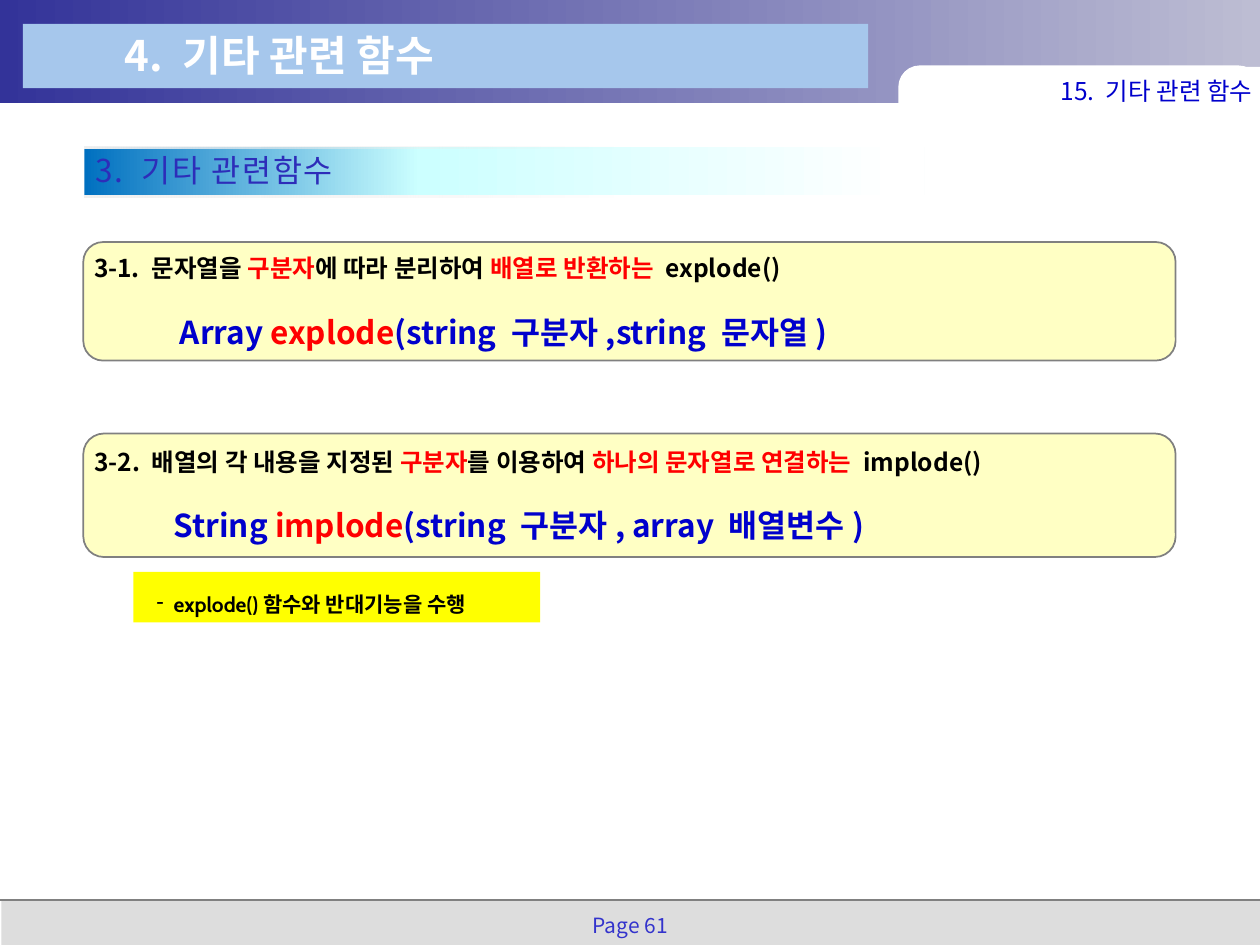
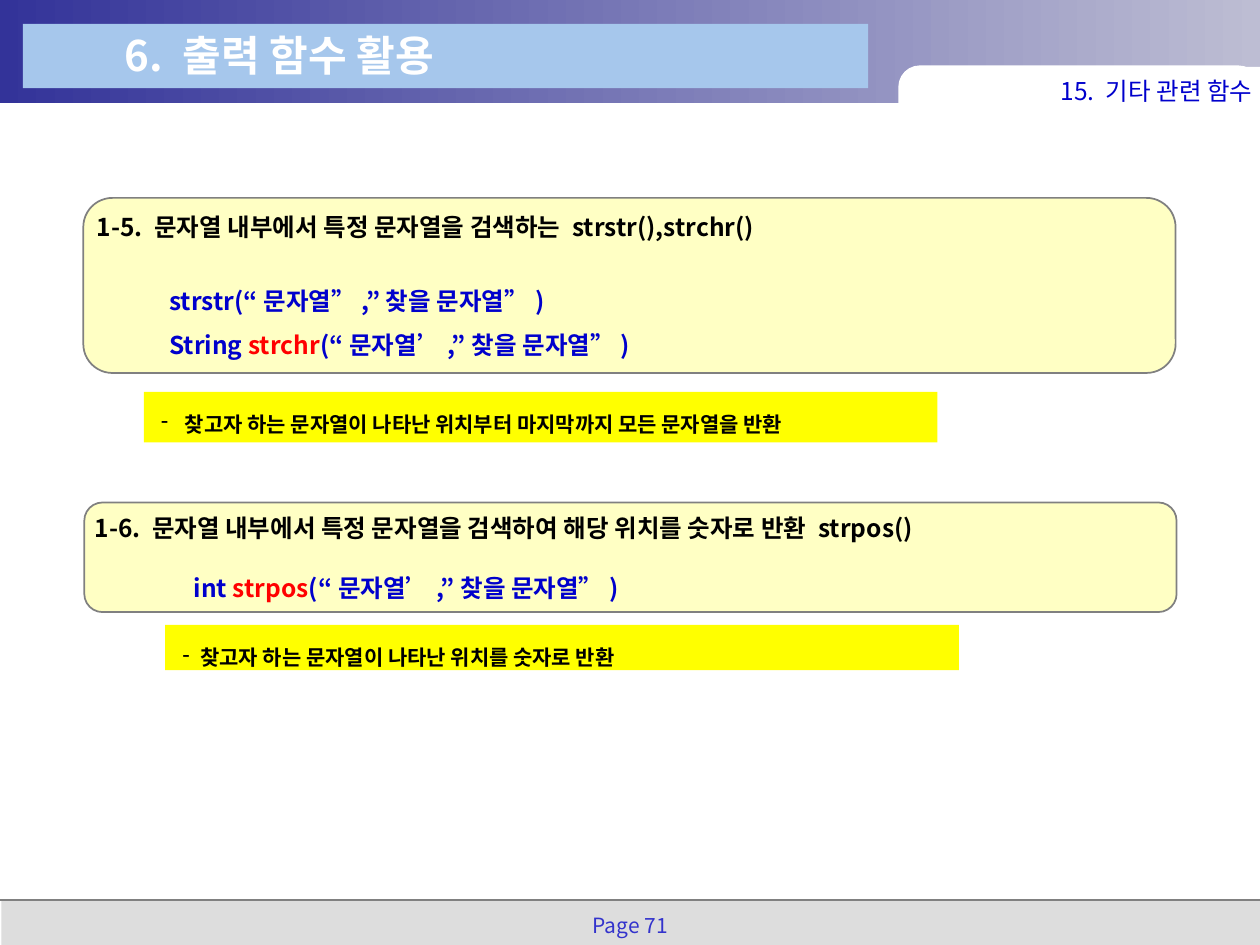
from dataclasses import dataclass

from lxml.etree import SubElement
from pptx import Presentation
from pptx.dml.color import RGBColor
from pptx.enum.shapes import MSO_CONNECTOR, MSO_SHAPE
from pptx.enum.text import MSO_ANCHOR, PP_ALIGN
from pptx.oxml import parse_xml
from pptx.oxml.ns import nsdecls, qn
from pptx.util import Cm, Pt


@dataclass(frozen=True)
class Theme:
    font: str = "Noto Sans CJK KR"
    note_font: str = "Cabin"
    white: str = "FFFFFF"
    black: str = "000000"
    red: str = "FF0000"
    blue: str = "0000CC"
    yellow: str = "FFFF00"
    gray: str = "808080"
    footer: str = "DDDDDD"
    plate: str = "A6C7EC"
    page_number: str = "3333CC"
    section: str = "2D2DB9"
    section_shadow: str = "000066"
    header_stops: tuple = ((0, "333399", 100), (100, "BDBDD3", 100))
    section_stops: tuple = ((0, "0070C0", 100), (40, "CCFFFF", 100), (97, "FFFFFF", 100))
    rule_stops: tuple = ((0, "F0F0F0", 100), (100, "EAEAEA", 0))
    title_size: int = 24
    section_size: int = 18
    heading_size: int = 14
    note_size: int = 12
    card_opacity: int = 23


THEME = Theme()
WIDTH, HEIGHT = 25.4, 19.05
CHAPTER = "15. 기타 관련 함수"


class PageBuilder:
    def __init__(self, deck, theme):
        self.deck = deck
        self.theme = theme
        self.page = None

    def start_page(self, title, number):
        theme = self.theme
        self.page = self.deck.slides.add_slide(self.deck.slide_layouts[5])
        self.box((0.03, 18.14, 25.37, 0.91), theme.footer)
        self.gradient_box((0, 0, WIDTH, 2.08), theme.header_stops)
        self.footer_line(18.14)
        tab = self.box((18.11, 1.32, 7.29, 1.5), theme.white, MSO_SHAPE.ROUNDED_RECTANGLE)
        tab.adjustments[0] = 0.29
        self.box((23.11, 1.35, 2.29, 0.61), theme.white)
        self.box((0.46, 0.48, 17.04, 1.3), theme.plate)
        self.title(title)
        self.label((11.56, 18.29, 2.29, 0.71), f"Page {number}", theme.note_size,
                   theme.page_number, PP_ALIGN.CENTER)
        self.label((18.49, 1.42, 6.86, 0.81), CHAPTER, theme.heading_size,
                   theme.blue, PP_ALIGN.RIGHT, 0.1)

    def finish_page(self):
        for latin in list(self.page.shapes.element.iter(qn("a:latin"))):
            typeface = latin.get("typeface")
            latin.addnext(parse_xml(f'<a:ea {nsdecls("a")} typeface="{typeface}"/>'))

    def box(self, area, color, kind=MSO_SHAPE.RECTANGLE):
        shape = self.page.shapes.add_shape(kind, *map(Cm, area))
        shape.shadow.inherit = False
        shape.fill.solid()
        shape.fill.fore_color.rgb = RGBColor.from_string(color)
        shape.line.fill.background()
        return shape

    def gradient_box(self, area, stops):
        shape = self.box(area, self.theme.white)
        shape.fill.gradient()
        shape.fill.gradient_angle = 0
        stop_list = shape.element.find(".//" + qn("a:gsLst"))
        stop_list.clear()
        for position, color, opacity in stops:
            stop = SubElement(stop_list, qn("a:gs"), pos=str(position * 1000))
            tint = SubElement(stop, qn("a:srgbClr"), val=color)
            if opacity < 100:
                SubElement(tint, qn("a:alpha"), val=str(opacity * 1000))

    def footer_line(self, top):
        line = self.page.shapes.add_connector(
            MSO_CONNECTOR.STRAIGHT, 0, Cm(top), Cm(WIDTH), Cm(top))
        line.line.color.rgb = RGBColor.from_string(self.theme.gray)
        line.line.width = Pt(1)
        SubElement(line.element.spPr, qn("a:effectLst"))

    def frame(self, shape, anchor=MSO_ANCHOR.MIDDLE, inset=None):
        frame = shape.text_frame
        frame.word_wrap = True
        frame.vertical_anchor = anchor
        if inset is not None:
            frame.margin_left = frame.margin_right = Cm(inset)
            frame.margin_top = frame.margin_bottom = Cm(inset)
        return frame

    def add_spans(self, para, spans, size, bold=False, font=None, align=PP_ALIGN.LEFT):
        para.alignment = align
        para.font.name = font or self.theme.font
        para.font.size = Pt(size)
        para.font.bold = bold
        for text, color in spans:
            span = para.add_run()
            span.text = text
            span.font.color.rgb = RGBColor.from_string(color)

    def indent(self, para, margin, first=0):
        properties = para._p.get_or_add_pPr()
        properties.set("marL", str(Cm(margin)))
        properties.set("indent", str(Cm(first)))
        return properties

    def title(self, text):
        title = self.page.shapes.title
        title.left, title.top, title.width, title.height = map(Cm, (2.26, 0.46, 12.62, 1.27))
        self.page.shapes.element.append(title.element)
        para = self.frame(title).paragraphs[0]
        self.add_spans(para, [(text, self.theme.white)], self.theme.title_size, bold=True)

    def label(self, area, text, size, color, align=PP_ALIGN.LEFT, inset=None):
        label = self.page.shapes.add_textbox(*map(Cm, area))
        para = self.frame(label, inset=inset).paragraphs[0]
        self.add_spans(para, [(text, color)], size, align=align)
        return label

    def section(self, text):
        theme = self.theme
        self.gradient_box((1.7, 2.97, 16.94, 0.97), theme.section_stops)
        for top in (2.95, 3.94):
            self.gradient_box((1.7, top, 10.69, 0.05), theme.rule_stops)
        label = self.label((1.68, 2.92, 17.02, 1.02), text, theme.section_size, theme.section)
        properties = label.element.find(".//" + qn("a:rPr"))
        properties.set("spc", "100")
        effects = SubElement(properties, qn("a:effectLst"))
        shadow = SubElement(effects, qn("a:outerShdw"), dist="17961", dir="2700000")
        SubElement(shadow, qn("a:srgbClr"), val=theme.section_shadow)

    def card(self, area, heading, signatures, margin, size, leading, gap=17):
        theme = self.theme
        card = self.box(area, theme.yellow, MSO_SHAPE.ROUNDED_RECTANGLE)
        tint = card.element.spPr.find(qn("a:solidFill")).find(qn("a:srgbClr"))
        SubElement(tint, qn("a:alpha"), val=str(theme.card_opacity * 1000))
        card.line.color.rgb = RGBColor.from_string(theme.gray)
        card.line.width = Pt(1)
        frame = self.frame(card, inset=0.1)
        para = frame.paragraphs[0]
        para.line_spacing = Pt(17)
        self.add_spans(para, heading, theme.heading_size, bold=True)
        for index, signature in enumerate(signatures):
            para = frame.add_paragraph()
            para.line_spacing = Pt(leading)
            para.space_before = Pt(0 if index else gap)
            self.indent(para, margin)
            self.add_spans(para, signature, size, bold=True)

    def note(self, area, text, margin, hanging):
        theme = self.theme
        note = self.box(area, theme.yellow)
        para = self.frame(note, MSO_ANCHOR.TOP).paragraphs[0]
        para.line_spacing = Pt(22)
        self.add_spans(para, [(text, theme.black)], theme.note_size, bold=True,
                       font=theme.note_font)
        properties = self.indent(para, margin + hanging, -hanging)
        bullet = parse_xml(f'<a:buChar {nsdecls("a")} char="-"/>')
        properties.find(qn("a:defRPr")).addprevious(bullet)


def build_array_page(builder):
    theme = builder.theme
    black, red, blue = theme.black, theme.red, theme.blue
    builder.start_page("4. 기타 관련 함수", 61)
    builder.section("3. 기타 관련함수")
    builder.card(
        (1.68, 4.88, 22.02, 2.39),
        [("3-1. 문자열을 ", black), ("구분자", red), ("에 따라 분리하여 ", black),
         ("배열로 반환하는 ", red), ("explode()", black)],
        [[("Array ", blue), ("explode", red), ("(string 구분자,string 문자열)", blue)]],
        1.73, theme.section_size, 22)
    builder.card(
        (1.68, 8.74, 22.02, 2.49),
        [("3-2. 배열의 각 내용을 지정된 ", black), ("구분자", red), ("를 이용하여 ", black),
         ("하나의 문자열로 연결하는 ", red), ("implode()", black)],
        [[("String ", blue), ("implode", red), ("(string 구분자, array 배열변수)", blue)]],
        1.6, theme.section_size, 22)
    builder.note((2.69, 11.53, 8.2, 1.02), "explode()함수와 반대기능을 수행", 0.22, 0.34)
    builder.finish_page()


def build_search_page(builder):
    theme = builder.theme
    black, red, blue = theme.black, theme.red, theme.blue
    builder.start_page("6. 출력 함수 활용", 71)
    builder.card(
        (1.68, 3.99, 22.02, 3.53),
        [("1-5. 문자열 내부에서 특정 문자열을 검색하는 strstr(),strchr()", black)],
        [[("strstr(“문자열”,”찾을 문자열”)", blue)],
         [("String ", blue), ("strchr", red), ("(“문자열’,”찾을 문자열”)", blue)]],
        1.46, theme.heading_size, 25)
    builder.card(
        (1.7, 10.13, 22.02, 2.21),
        [("1-6. 문자열 내부에서 특정 문자열을 검색하여 해당 위치를 숫자로 반환 strpos()", black)],
        [[("int ", blue), ("strpos", red), ("(“문자열’,”찾을 문자열”)", blue)]],
        2, theme.heading_size, 17)
    builder.note((2.9, 7.9, 16, 1.02),
                 "찾고자 하는 문자열이 나타난 위치부터 마지막까지 모든 문자열을 반환", 0.1, 0.48)
    builder.note((3.33, 12.6, 16, 0.91),
                 "찾고자 하는 문자열이 나타난 위치를 숫자로 반환", 0.1, 0.36)
    builder.finish_page()


def main():
    deck = Presentation()
    deck.slide_width, deck.slide_height = Cm(WIDTH), Cm(HEIGHT)
    builder = PageBuilder(deck, THEME)
    build_array_page(builder)
    build_search_page(builder)
    deck.save("out.pptx")


if __name__ == "__main__":
    main()
